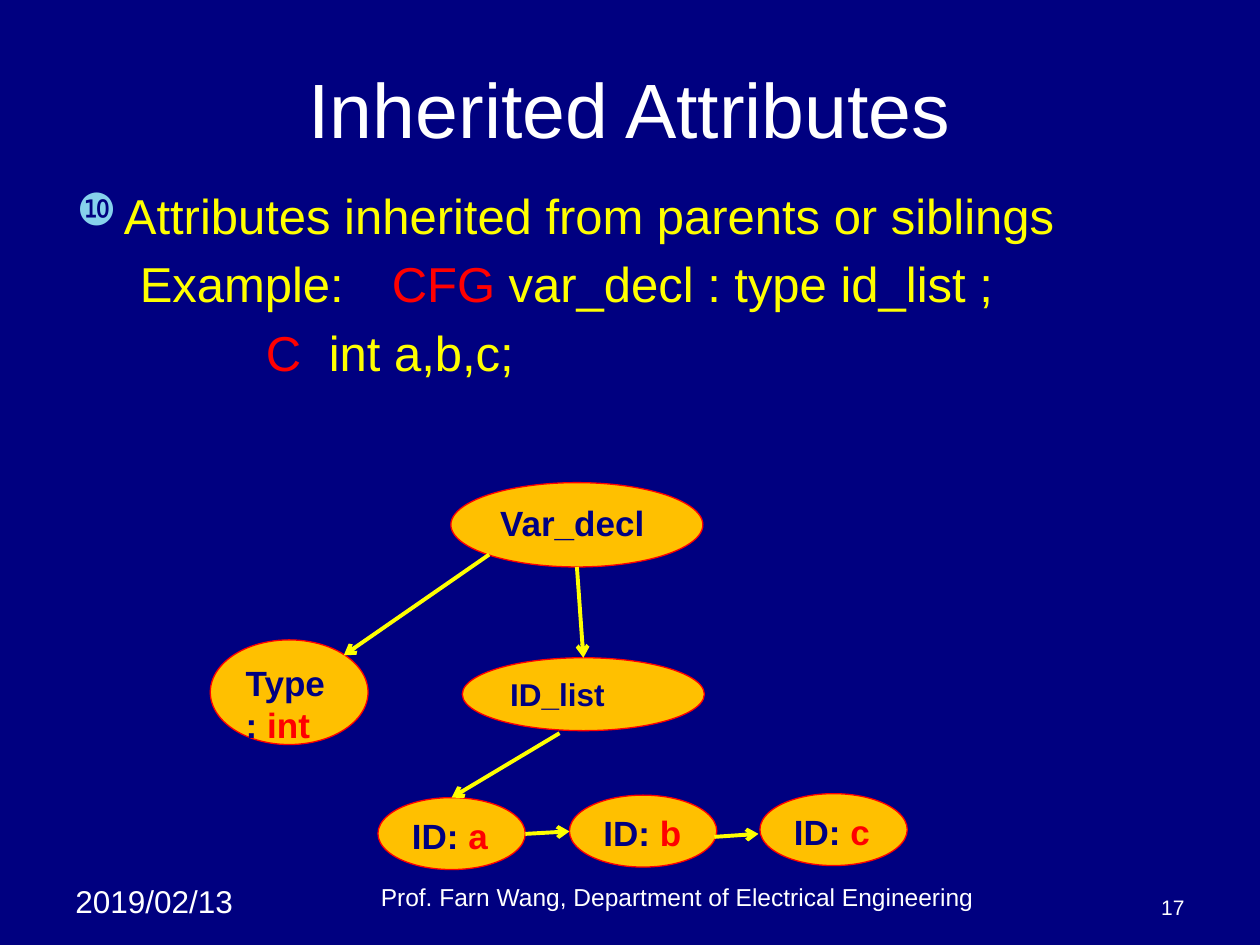
from lxml import etree
from pptx import Presentation
from pptx.dml.color import RGBColor
from pptx.enum import shapes, text
from pptx.oxml.ns import qn
from pptx.util import Cm, Pt

NAVY = RGBColor(0x00, 0x00, 0x80)
WHITE = RGBColor(0xFF, 0xFF, 0xFF)
YELLOW = RGBColor(0xFF, 0xFF, 0x00)
RED = RGBColor(0xFF, 0x00, 0x00)
AMBER = RGBColor(0xFF, 0xC0, 0x00)
LEFT, CENTER, RIGHT = text.PP_ALIGN.LEFT, text.PP_ALIGN.CENTER, text.PP_ALIGN.RIGHT
TOP, MIDDLE, BOTTOM = text.MSO_ANCHOR.TOP, text.MSO_ANCHOR.MIDDLE, text.MSO_ANCHOR.BOTTOM


def add_runs(p, parts, size, bold=False):
    """Append (wording, colour) parts to a paragraph."""
    for wording, color in parts:
        r = p.add_run()
        r.text = wording
        r.font.name = "Arial"
        r.font.size = Pt(size)
        r.font.bold = bold
        r.font.color.rgb = color


def add_textbox(box, lines, size, align=LEFT, anchor=TOP):
    """Add a text box with one paragraph per list of parts."""
    tf = s.shapes.add_textbox(*map(Cm, box)).text_frame
    tf.word_wrap = True
    tf.vertical_anchor = anchor
    for i, parts in enumerate(lines):
        p = tf.add_paragraph() if i else tf.paragraphs[0]
        p.alignment = align
        add_runs(p, parts, size)
    return tf


prs = Presentation()
prs.slide_width, prs.slide_height = Cm(25.4), Cm(19.05)
s = prs.slides.add_slide(prs.slide_layouts[6])
s.background.fill.solid()
s.background.fill.fore_color.rgb = NAVY

# Title and body
add_textbox((1.27, 0.76, 22.86, 2.82), [[("Inherited Attributes", WHITE)]], 44, CENTER, MIDDLE)
body = add_textbox((1.3, 3.61, 22.86, 2), [
    [("Attributes inherited from parents or siblings", YELLOW)],
    [("\tExample:\t", YELLOW), ("CFG ", RED), ("var_decl : type id_list ;", YELLOW)],
    [("\t\t\t", YELLOW), ("C\t", RED), ("int a,b,c;", YELLOW)],
], 28)
for p in body.paragraphs:
    p.space_before = Pt(5.6)

pPr = body.paragraphs[0]._p.get_or_add_pPr()
pPr.set("marL", str(Cm(0.95)))
pPr.set("indent", str(-Cm(0.95)))
buClr = etree.SubElement(pPr, qn("a:buClr"))
etree.SubElement(buClr, qn("a:srgbClr"), val="86D1EC")
etree.SubElement(pPr, qn("a:buSzPct"), val="90000")
etree.SubElement(pPr, qn("a:buChar"), char="❿")

# Parse tree nodes
nodes = {}
for name, value, size, box in [
    ("Var_decl", "", 20, (9.09, 9.73, 5.08, 1.7)),
    ("Type: ", "int", 20, (4.24, 12.9, 3.18, 2.11)),
    ("ID_list", "", 18, (9.32, 13.26, 4.88, 1.47)),
    ("ID: ", "a", 20, (7.62, 16.08, 2.97, 1.45)),
    ("ID: ", "b", 20, (11.48, 16.03, 2.97, 1.45)),
    ("ID: ", "c", 20, (15.32, 16, 2.97, 1.45)),
]:
    sp = s.shapes.add_shape(shapes.MSO_SHAPE.OVAL, *map(Cm, box))
    sp.shadow.inherit = False
    sp.fill.solid()
    sp.fill.fore_color.rgb = AMBER
    sp.line.color.rgb = RED
    sp.line.width = Pt(0.75)
    tf = sp.text_frame
    tf.word_wrap = True
    tf.vertical_anchor = TOP
    p = tf.paragraphs[0]
    p.alignment = LEFT
    parts = [(name, NAVY)] + ([(value, RED)] if value else [])
    add_runs(p, parts, size, bold=True)
    nodes[name + value] = sp

# Arrows; those that reach the top of a node are joined to it
for ends, target in [
    ((9.86, 11.18, 6.93, 13.21), None),
    ((11.63, 11.43, 11.73, 13.26), "ID_list"),
    ((11.28, 14.78, 9.1, 16.08), "ID: a"),
    ((10.59, 16.81, 11.48, 16.76), None),
    ((14.4, 16.87, 15.29, 16.81), None),
]:
    arrow = s.shapes.add_connector(shapes.MSO_CONNECTOR.STRAIGHT, *map(Cm, ends))
    if target:
        arrow.end_connect(nodes[target], 0)
    arrow.line.color.rgb = YELLOW
    arrow.line.width = Pt(2.25)
    etree.SubElement(arrow.line._get_or_add_ln(), qn("a:tailEnd"), type="arrow")
    etree.SubElement(arrow._element.spPr, qn("a:effectLst"))

# Footer
add_textbox((1.27, 17.65, 4.01, 1.02), [[("2019/02/13", WHITE)]], 18)
add_textbox((5.08, 17.65, 17.15, 0.84),
            [[("Prof. Farn Wang, Department of Electrical Engineering", WHITE)]],
            14, CENTER, BOTTOM)
add_textbox((18.21, 17.98, 5.92, 0.69), [[("17", WHITE)]], 12, RIGHT, BOTTOM)

prs.save("out.pptx")
